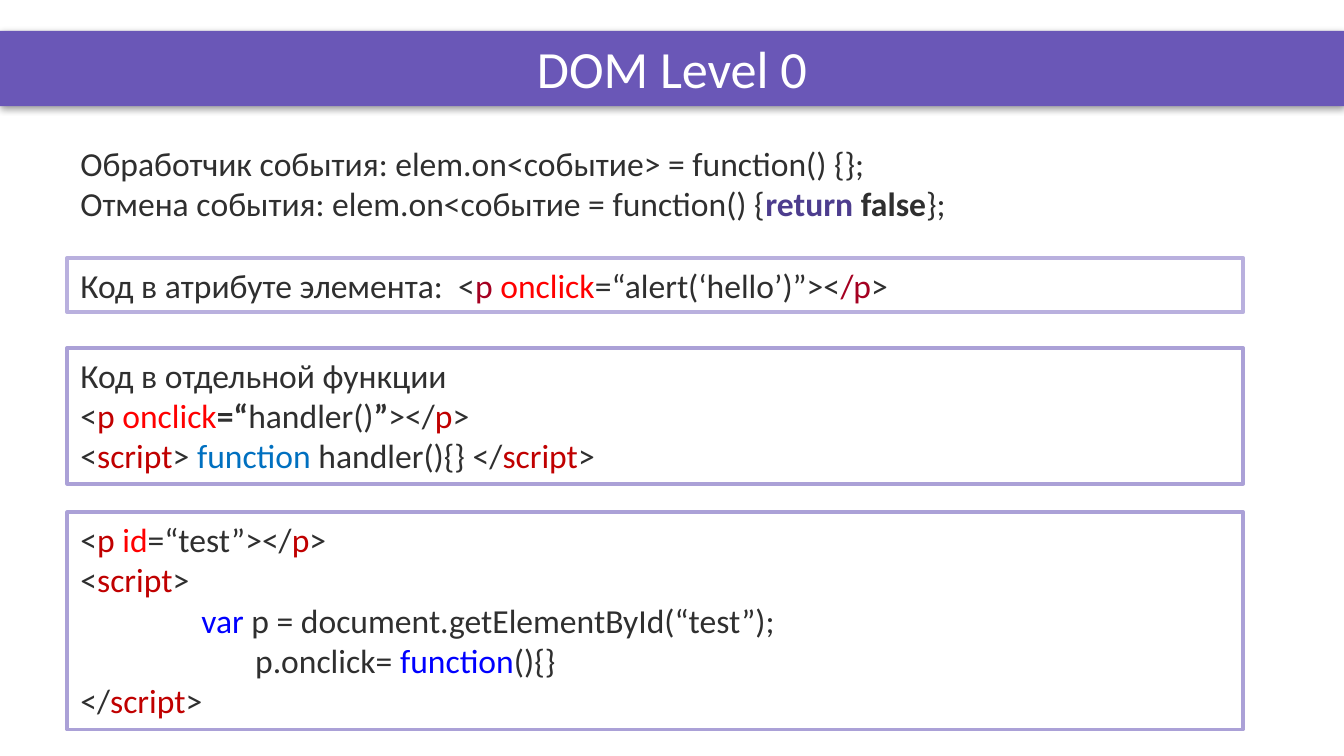
"""Build the DOM Level 0 event handler slide."""
from dataclasses import dataclass
from typing import NamedTuple

from lxml import etree
from pptx import Presentation
from pptx.dml.color import RGBColor
from pptx.enum.shapes import MSO_SHAPE
from pptx.enum.text import MSO_ANCHOR, MSO_AUTO_SIZE, PP_ALIGN
from pptx.oxml.ns import qn
from pptx.util import Inches, Pt

RECTANGLE = MSO_SHAPE.RECTANGLE
TOP, MIDDLE = MSO_ANCHOR.TOP, MSO_ANCHOR.MIDDLE
GROW = MSO_AUTO_SIZE.SHAPE_TO_FIT_TEXT
LEFT, CENTER, JUSTIFY = PP_ALIGN.LEFT, PP_ALIGN.CENTER, PP_ALIGN.JUSTIFY

SLIDE_WIDTH = Inches(10)
SLIDE_HEIGHT = SLIDE_WIDTH * 9 // 16
FONT = "Calibri"
LINE_SHARE, PADDING_SHARE = 5.39, 1.78
COLORS = {
    "band": "6A57B7", "white": "FFFFFF", "text": "2F2F2F",
    "pale": "B9B0DE", "lilac": "ABA1D7", "keyword": "4D3D8E",
    "crimson": "A50021", "tag": "C00000", "attribute": "FF0000",
    "function": "0070C0", "script": "0000FF", "shadow": "000000",
}


class Piece(NamedTuple):
    text: str
    color: str = "text"
    bold: bool = False


@dataclass
class Line:
    pieces: list[Piece]
    indent: float = 0
    alignment: PP_ALIGN = LEFT


@dataclass
class CodeBox:
    top: float
    lines: list[Line]
    border: str | None = "lilac"
    width: float = 87.5


OPEN, CLOSE, END = Piece("<"), Piece(">"), Piece("></")
PARAGRAPH_TAG, SCRIPT_TAG = Piece("p", "tag"), Piece("script", "tag")
PARAGRAPH_START = Piece("p ", "tag")

BOXES = [
    CodeBox(17.99, [
        Line([Piece("Обработчик события: elem.on<событие> = function() {};")]),
        Line([Piece("Отмена события: elem.on<событие = function() {"),
              Piece("return ", "keyword", True), Piece("false", bold=True),
              Piece("};")], alignment=JUSTIFY),
    ], border=None, width=85),
    CodeBox(34.13, [
        Line([Piece("Код в атрибуте элемента:  <"), Piece("p ", "crimson"),
              Piece("onclick", "attribute"), Piece("=“alert(‘hello’)”><"),
              Piece("/p", "crimson"), CLOSE]),
    ], border="pale"),
    CodeBox(46.04, [
        Line([Piece("Код в отдельной функции")]),
        Line([OPEN, PARAGRAPH_START, Piece("onclick", "attribute"),
              Piece("=“", bold=True), Piece("handler()"), Piece("”", bold=True),
              END, PARAGRAPH_TAG, CLOSE]),
        Line([OPEN, SCRIPT_TAG, Piece("> "), Piece("function", "function"),
              Piece(" handler(){} </"), SCRIPT_TAG, CLOSE]),
    ]),
    CodeBox(67.76, [
        Line([OPEN, PARAGRAPH_START, Piece("id", "attribute"),
              Piece("=“test”></"), PARAGRAPH_TAG, CLOSE]),
        Line([OPEN, SCRIPT_TAG, CLOSE]),
        Line([Piece("var", "script"),
              Piece(" p = document.getElementById(“test”);")], indent=0.9),
        Line([Piece("p.onclick= "), Piece("function", "script"),
              Piece("(){}")], indent=1.3),
        Line([Piece("</"), SCRIPT_TAG, CLOSE]),
    ]),
]


def color(name: str) -> RGBColor:
    """Return a palette colour."""
    return RGBColor.from_string(COLORS[name])


def place(left: float, top: float, width: float, height: float) -> tuple[int, ...]:
    """Turn percentages of the slide into lengths."""
    return (int(SLIDE_WIDTH * left / 100), int(SLIDE_HEIGHT * top / 100),
            int(SLIDE_WIDTH * width / 100), int(SLIDE_HEIGHT * height / 100))


def add_rectangle(slide, bounds: tuple[int, ...], fill: str, border: str | None = None):
    """Add a filled rectangle with an optional border."""
    shape = slide.shapes.add_shape(RECTANGLE, *bounds)
    shape.shadow.inherit = False
    shape.fill.solid()
    shape.fill.fore_color.rgb = color(fill)
    if border:
        shape.line.color.rgb = color(border)
        shape.line.width = Pt(2)
    else:
        shape.line.fill.background()
    return shape


def write_lines(shape, lines: list[Line], size: float, anchor: MSO_ANCHOR) -> None:
    """Write coloured lines into a shape."""
    frame = shape.text_frame
    frame.word_wrap = True
    frame.vertical_anchor = anchor
    for number, line in enumerate(lines):
        paragraph = frame.add_paragraph() if number else frame.paragraphs[0]
        paragraph.alignment = line.alignment
        if line.indent:
            properties = paragraph._p.get_or_add_pPr()
            properties.set("marL", str(Inches(line.indent)))
            properties.set("indent", "0")
        for piece in line.pieces:
            run = paragraph.add_run()
            run.text = piece.text
            run.font.name = FONT
            run.font.size = Pt(size)
            run.font.bold = piece.bold
            run.font.color.rgb = color(piece.color)


def add_band(slide) -> None:
    """Add the title band with a soft shadow below it."""
    band = add_rectangle(slide, place(0, 4.09, 100, 9.96), "band")
    effects = band._element.spPr.find(qn("a:effectLst"))
    shadow = etree.SubElement(effects, qn("a:outerShdw"), blurRad=str(Pt(4)),
                              dist=str(Pt(1)), dir="5400000", rotWithShape="0")
    tint = etree.SubElement(shadow, qn("a:srgbClr"), val=COLORS["shadow"])
    etree.SubElement(tint, qn("a:alpha"), val="40000")


def add_title(slide, text: str) -> None:
    """Add the centred title."""
    title = slide.shapes.add_textbox(*place(5, 0, 90, 17.96))
    write_lines(title, [Line([Piece(text, "white")], alignment=CENTER)], 28, MIDDLE)


def add_code_box(slide, box: CodeBox) -> None:
    """Add a box whose height follows its number of lines."""
    height = PADDING_SHARE + LINE_SHARE * len(box.lines)
    bounds = place(5, box.top, box.width, height)
    if box.border:
        shape = add_rectangle(slide, bounds, "white", box.border)
    else:
        shape = slide.shapes.add_textbox(*bounds)
    write_lines(shape, box.lines, 18, TOP)
    shape.text_frame.auto_size = GROW


def main() -> None:
    """Build and save the presentation."""
    presentation = Presentation()
    presentation.slide_width, presentation.slide_height = SLIDE_WIDTH, SLIDE_HEIGHT
    slide = presentation.slides.add_slide(presentation.slide_layouts[6])
    add_band(slide)
    add_title(slide, "DOM Level 0")
    for box in BOXES:
        add_code_box(slide, box)
    presentation.save("out.pptx")


main()
